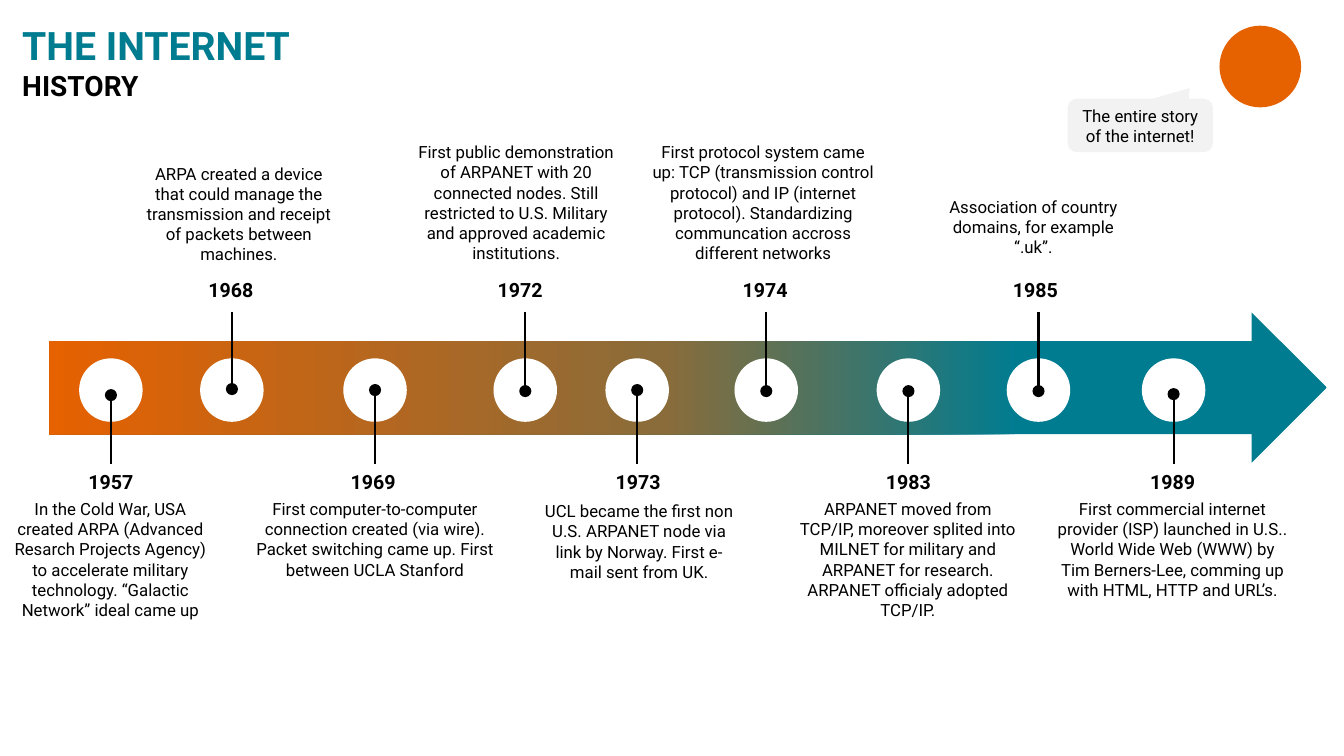
import dataclasses

import pptx
import pptx.dml.color
import pptx.enum.shapes
import pptx.enum.text
import pptx.oxml.ns
import pptx.util
from copy import deepcopy
from lxml import etree

Inches = pptx.util.Inches
Shapes = pptx.enum.shapes.MSO_SHAPE
Align = pptx.enum.text.PP_ALIGN
Anchor = pptx.enum.text.MSO_ANCHOR
AutoSize = pptx.enum.text.MSO_AUTO_SIZE
qn = pptx.oxml.ns.qn


@dataclasses.dataclass(frozen=True)
class Theme:
    font: str = "Roboto"
    teal: str = "007C91"
    brown: str = "8A6C3A"
    orange: str = "E66100"
    black: str = "000000"
    white: str = "FFFFFF"
    bubble: str = "F2F2F2"
    title_size: int = 28
    subtitle_size: int = 20
    year_size: int = 14
    story_size: int = 12
    stem_width: float = 1.5


@dataclasses.dataclass(frozen=True)
class Event:
    """A milestone: stem and dot place, year centre, and story box (left, top, width, lines)."""
    year: str
    stem_x: float
    dot_y: float
    year_x: float
    story_box: tuple
    story: tuple

    @property
    def above(self):
        return self.story_box[1] < ARROW_TOP


ARROW_TOP = 3.1
STEM_BOTTOM = 4.6
RING_Y, RING_SIZE, DOT_SIZE = 3.87, 0.63, 0.12
YEAR_WIDTH, YEAR_HEIGHT = 0.65, 0.34
YEAR_TOP_ABOVE, YEAR_TOP_BELOW = 2.71, 4.61

EVENTS = [
    Event("1957", 1.1, 3.92, 1.1, (-0.03, 4.9, 2.25, 6),
          ("In the Cold War, USA created ARPA (Advanced Resarch Projects Agency) to accelerate "
           "military technology. “Galactic Network” ideal came up",)),
    Event("1968", 2.3, 3.86, 2.29, (1.29, 1.57, 2.16, 5),
          ("ARPA created a device that could manage the transmission and receipt of packets "
           "between machines.",)),
    Event("1969", 3.72, 3.87, 3.7, (2.4, 4.9, 2.64, 4),
          ("First computer-to-computer connection created (via wire). Packet switching came up. "
           "First between UCLA Stanford",)),
    Event("1972", 5.21, 3.88, 5.16, (4.04, 1.36, 2.16, 6),
          ("First public demonstration of ARPANET with 20 connected nodes. Still restricted to "
           "U.S. Military and approved academic institutions.",)),
    Event("1973", 6.32, 3.87, 6.33, (5.26, 4.92, 2.16, 4),
          ("UCL became the first non U.S. ARPANET node via link by Norway. First e-mail sent "
           "from UK.",)),
    Event("1974", 7.6, 3.88, 7.59, (6.37, 1.36, 2.4, 6),
          ("First protocol system came up: TCP (transmission control protocol) and IP (internet "
           "protocol). Standardizing communcation accross different networks",)),
    Event("1983", 9.01, 3.88, 9.01, (7.83, 4.9, 2.35, 6),
          ("ARPANET moved from TCP/IP, moreover splited into MILNET for military and ARPANET for "
           "research. ARPANET officialy adopted TCP/IP.",)),
    Event("1985", 10.3, 3.88, 10.27, (9.17, 1.9, 2.16, 3),
          ("Association of country domains, for example", "“.uk”.")),
    Event("1989", 11.64, 3.91, 11.63, (10.36, 4.9, 2.54, 5),
          ("First commercial internet provider (ISP) launched in U.S.. World Wide Web (WWW) by "
           "Tim Berners-Lee, comming up with HTML, HTTP and URL’s.",)),
]


def rgb(color):
    return pptx.dml.color.RGBColor.from_string(color)


def apply(target, settings):
    for attribute, value in settings.items():
        setattr(target, attribute, value)


class TimelineSlide:
    def __init__(self, presentation, theme):
        self.theme = theme
        self.slide = presentation.slides.add_slide(presentation.slide_layouts[5])
        self.shapes = self.slide.shapes

    def fill_text(self, frame, lines, align, frame_settings):
        """Fill a text frame with (text, size, colour, bold) lines, one paragraph each."""
        apply(frame, frame_settings)
        for index, (text, size, color, bold) in enumerate(lines):
            paragraph = frame.add_paragraph() if index else frame.paragraphs[0]
            paragraph.alignment = align
            run = paragraph.add_run()
            run.text = text
            apply(run.font, {"name": self.theme.font, "size": pptx.util.Pt(size), "bold": bold})
            run.font.color.rgb = rgb(color)

    def title(self, box, lines):
        heading = self.shapes.title
        apply(heading, dict(zip(("left", "top", "width", "height"), map(Inches, box))))
        self.fill_text(heading.text_frame, lines, Align.LEFT,
                       {"word_wrap": False, "vertical_anchor": Anchor.TOP,
                        "auto_size": AutoSize.NONE})

    def text(self, box, lines, wrap=True):
        label = self.shapes.add_textbox(*map(Inches, box))
        self.fill_text(label.text_frame, lines, Align.CENTER, {"word_wrap": wrap})

    def shape(self, preset, box, color, adjustments=()):
        shape = self.shapes.add_shape(preset, *map(Inches, box))
        shape.shadow.inherit = False
        shape.line.fill.background()
        shape.fill.solid()
        shape.fill.fore_color.rgb = rgb(color)
        for index, value in enumerate(adjustments):
            shape.adjustments[index] = value
        return shape

    def gradient(self, shape, stops, angle):
        """Give the shape a linear gradient of (position, colour) stops."""
        shape.fill.gradient()
        shape.fill.gradient_angle = angle
        stop_list = shape._element.spPr.find(qn("a:gradFill")).find(qn("a:gsLst"))
        while len(stop_list) < len(stops):
            stop_list.append(deepcopy(stop_list[0]))
        for stop, (position, color) in zip(shape.fill.gradient_stops, stops):
            stop.position = position
            stop.color.rgb = rgb(color)

    def disc(self, x, y, size, color):
        self.shape(Shapes.OVAL, (x - size / 2, y - size / 2, size, size), color)

    def stem(self, x, start_y, end_y):
        line = self.shapes.add_connector(pptx.enum.shapes.MSO_CONNECTOR.STRAIGHT,
                                         *map(Inches, (x, start_y, x, end_y)))
        line.line.width = pptx.util.Pt(self.theme.stem_width)
        line.line.color.rgb = rgb(self.theme.black)
        etree.SubElement(line._element.spPr, qn("a:effectLst"))

    def event(self, event):
        theme = self.theme
        self.disc(event.stem_x, RING_Y, RING_SIZE, theme.white)
        self.stem(event.stem_x, event.dot_y, ARROW_TOP if event.above else STEM_BOTTOM)
        self.disc(event.stem_x, event.dot_y, DOT_SIZE, theme.black)
        year_top = YEAR_TOP_ABOVE if event.above else YEAR_TOP_BELOW
        self.text((event.year_x - YEAR_WIDTH / 2, year_top, YEAR_WIDTH, YEAR_HEIGHT),
                  [(event.year, theme.year_size, theme.black, True)], wrap=False)
        left, top, width, line_count = event.story_box
        self.text((left, top, width, 0.11 + 0.2 * line_count),
                  [(line, theme.story_size, theme.black, False) for line in event.story])

    def callout(self, box, text, adjustments):
        theme = self.theme
        bubble = self.shape(Shapes.ROUNDED_RECTANGULAR_CALLOUT, box, theme.bubble, adjustments)
        self.fill_text(bubble.text_frame, [(text, theme.story_size, theme.black, False)],
                       Align.CENTER, {"word_wrap": True, "vertical_anchor": Anchor.MIDDLE})


def main():
    presentation = pptx.Presentation()
    apply(presentation, {"slide_width": Inches(13.33), "slide_height": Inches(7.5)})
    theme = Theme()
    history = TimelineSlide(presentation, theme)
    history.title((0.12, 0.16, 2.89, 0.91),
                  [("THE INTERNET", theme.title_size, theme.teal, True),
                   ("HISTORY", theme.subtitle_size, theme.black, True)])
    arrow = history.shape(Shapes.RIGHT_ARROW, (0.49, ARROW_TOP, 12.67, 1.49), theme.teal,
                          (0.62, 0.5))
    history.gradient(arrow, [(0.24, theme.teal), (0.52, theme.brown), (1, theme.orange)], 180)
    for event in EVENTS:
        history.event(event)
    history.disc(12.5, 0.66, 0.81, theme.orange)
    history.callout((10.59, 0.98, 1.44, 0.53), "The entire story of the internet!",
                    (0.34, -0.7, 0.17))
    presentation.save("out.pptx")


if __name__ == "__main__":
    main()
